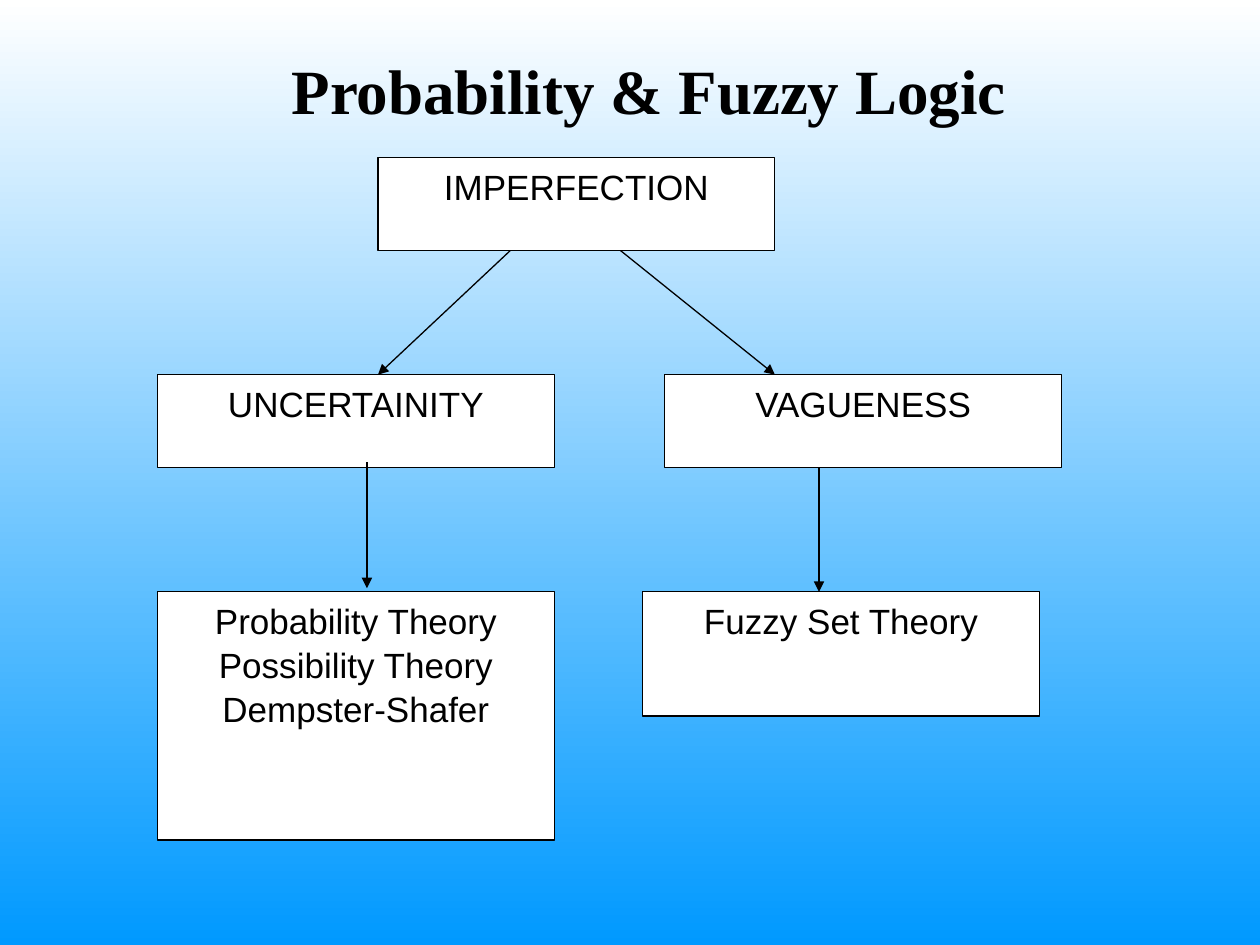
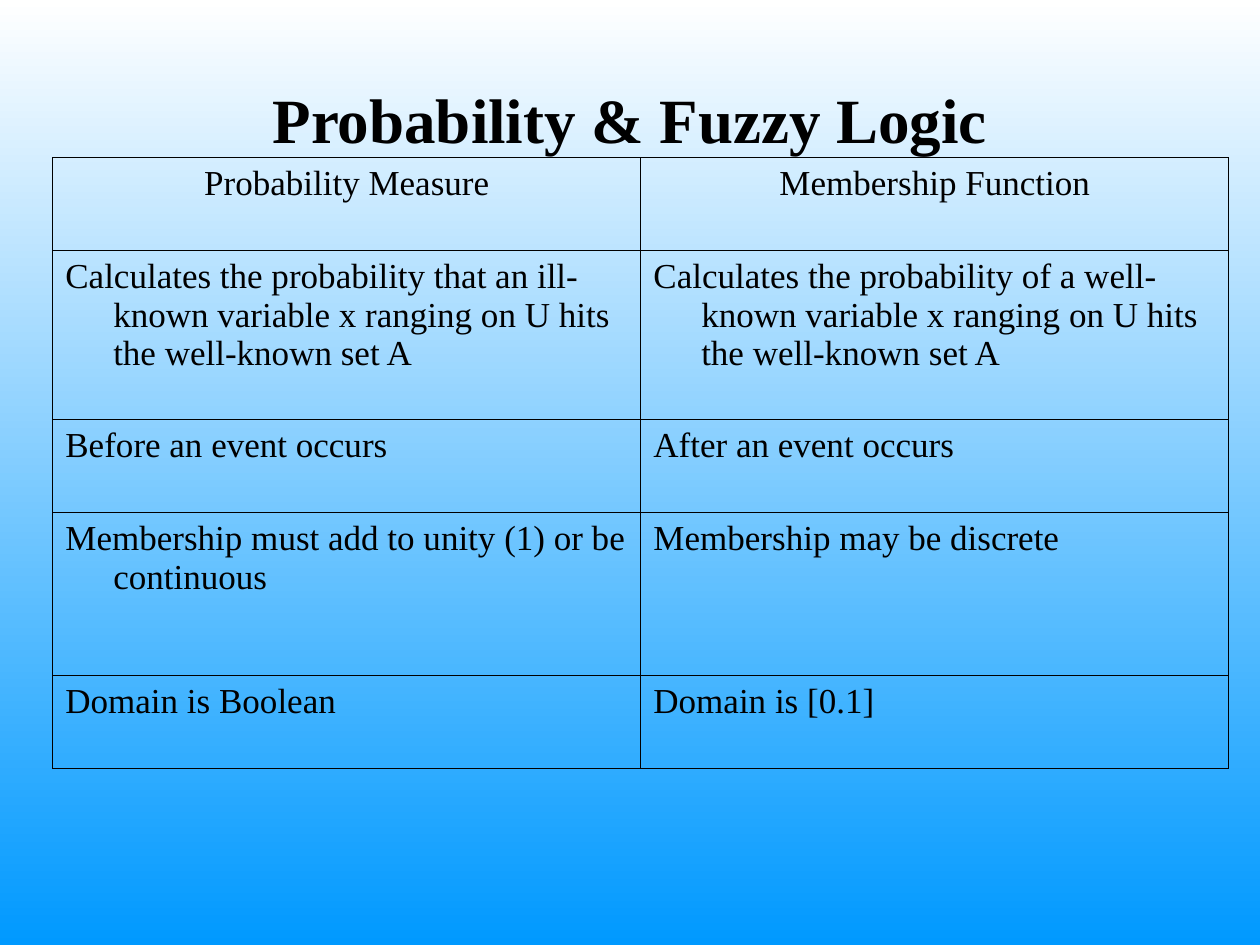
from lxml import etree
from pptx import Presentation
from pptx.dml.color import RGBColor
from pptx.enum.shapes import MSO_CONNECTOR, MSO_SHAPE
from pptx.enum.text import MSO_ANCHOR, PP_ALIGN
from pptx.oxml.ns import qn
from pptx.util import Inches, Pt

STRAIGHT = MSO_CONNECTOR.STRAIGHT
RECTANGLE = MSO_SHAPE.RECTANGLE
TOP, MIDDLE = MSO_ANCHOR.TOP, MSO_ANCHOR.MIDDLE
LEFT, CENTER = PP_ALIGN.LEFT, PP_ALIGN.CENTER

COLORS = {"ink": "000000", "paper": "FFFFFF", "sky": "0099FF"}
INK = RGBColor.from_string(COLORS["ink"])
PAPER = RGBColor.from_string(COLORS["paper"])
TITLE_FONT = {"name": "Times New Roman", "size": Pt(36), "bold": True}
BOX_FONT = {"name": "Arial", "size": Pt(20)}
CELL_FONT = {"name": "Times New Roman", "size": Pt(20)}

# Content grid: a diagram box is 18 columns wide, the tallest one 8 rows high.
ORIGIN = Inches(1.25)
COLUMN = Inches(3.15) / 18
ROW = Inches(1.97) / 8
BOX_COLUMNS = 18

deck = Presentation()
deck.slide_width, deck.slide_height = Inches(10), Inches(7.5)


def write_text(frame, lines, font_format, align=CENTER):
    frame.word_wrap = True
    for index, line in enumerate(lines):
        para = frame.paragraphs[0] if index == 0 else frame.add_paragraph()
        para.alignment = align
        span = para.add_run()
        span.text = line
        span.font.color.rgb = INK
        for name, value in font_format.items():
            setattr(span.font, name, value)


def add_page(left, top, width, height):
    """Add a page with the sky background and a title box, given in shares of the slide."""
    page = deck.slides.add_slide(deck.slide_layouts[6])
    fill = page.background.fill
    fill.gradient()
    fill.gradient_angle = 270
    for stop, color in zip(fill.gradient_stops, ("paper", "sky")):
        stop.color.rgb = RGBColor.from_string(COLORS[color])
    title = page.shapes.add_textbox(
        int(left * deck.slide_width), int(top * deck.slide_height),
        int(width * deck.slide_width), int(height * deck.slide_height))
    title.text_frame.vertical_anchor = MIDDLE
    write_text(title.text_frame, ["Probability & Fuzzy Logic"], TITLE_FONT)
    return page


# Slide 1: tree of imperfection
page = add_page(0.09, 0, 0.85, 0.19)

# column, row, rows high, lines
tree_boxes = [
    (10, 0, 3, ["IMPERFECTION"]),
    (0, 7, 3, ["UNCERTAINITY"]),
    (23, 7, 3, ["VAGUENESS"]),
    (0, 14, 8, ["Probability Theory", "Possibility Theory", "Dempster-Shafer"]),
    (22, 14, 4, ["Fuzzy Set Theory"]),
]
for column, row, rows_high, lines in tree_boxes:
    box = page.shapes.add_shape(
        RECTANGLE, int(ORIGIN + column * COLUMN), int(ORIGIN + row * ROW),
        int(BOX_COLUMNS * COLUMN), int(rows_high * ROW))
    box.shadow.inherit = False
    box.fill.solid()
    box.fill.fore_color.rgb = PAPER
    box.line.color.rgb = INK
    box.line.width = Pt(0.75)
    box.text_frame.vertical_anchor = TOP
    write_text(box.text_frame, lines, BOX_FONT)
    for para in box.text_frame.paragraphs:
        para.line_spacing = 1.04

# start column, start row, end column, end row
tree_arrows = [
    (16, 3, 10, 7),
    (21, 3, 28, 7),
    (30, 10, 30, 14),
    (9.5, 9.83, 9.5, 13.88),
]
for start_column, start_row, end_column, end_row in tree_arrows:
    arrow = page.shapes.add_connector(
        STRAIGHT,
        int(ORIGIN + start_column * COLUMN), int(ORIGIN + start_row * ROW),
        int(ORIGIN + end_column * COLUMN), int(ORIGIN + end_row * ROW))
    arrow.line.color.rgb = INK
    arrow.line.width = Pt(0.75)
    etree.SubElement(arrow.line._get_or_add_ln(), qn("a:tailEnd"), type="triangle")
    etree.SubElement(arrow._element.spPr, qn("a:effectLst"))

# Slide 2: comparison table
page = add_page(0.05, 0.04, 0.9, 0.17)

# rows high, left cell, right cell
comparison = [
    (3, "Probability Measure", "Membership Function"),
    (5.45, "Calculates the probability that an ill-known variable x ranging on U "
           "hits the well-known set A",
           "Calculates the probability of a well-known variable x ranging on U "
           "hits the well-known set A"),
    (3, "Before an event occurs", "After an event occurs"),
    (5.25, "Membership must add to unity (1) or be continuous",
           "Membership may be discrete"),
    (3, "Domain is Boolean", "Domain is [0.1]"),
]
CELL_COLUMNS = 26.67
table_rows = sum(rows_high for rows_high, *_ in comparison)
table = page.shapes.add_table(
    len(comparison), 2, int(ORIGIN - 4.75 * COLUMN), ORIGIN,
    int(2 * CELL_COLUMNS * COLUMN), int(table_rows * ROW)).table
table.first_row = table.horz_banding = False
for table_column in table.columns:
    table_column.width = int(CELL_COLUMNS * COLUMN)

for row_index, (rows_high, *texts) in enumerate(comparison):
    table.rows[row_index].height = int(rows_high * ROW)
    for column_index, text in enumerate(texts):
        cell = table.cell(row_index, column_index)
        write_text(cell.text_frame, [text], CELL_FONT, LEFT if row_index else CENTER)
        indent = cell.text_frame.paragraphs[0]._p.get_or_add_pPr()
        indent.set("marL", str(Inches(0.38)))
        indent.set("indent", str(-Inches(0.38)))
        properties = cell._tc.get_or_add_tcPr()
        for side in ("a:lnL", "a:lnR", "a:lnT", "a:lnB"):
            border = etree.SubElement(properties, qn(side), w=str(Pt(0.45)))
            border_fill = etree.SubElement(border, qn("a:solidFill"))
            etree.SubElement(border_fill, qn("a:srgbClr"), val=COLORS["ink"])
        cell.fill.background()

deck.save("out.pptx")
